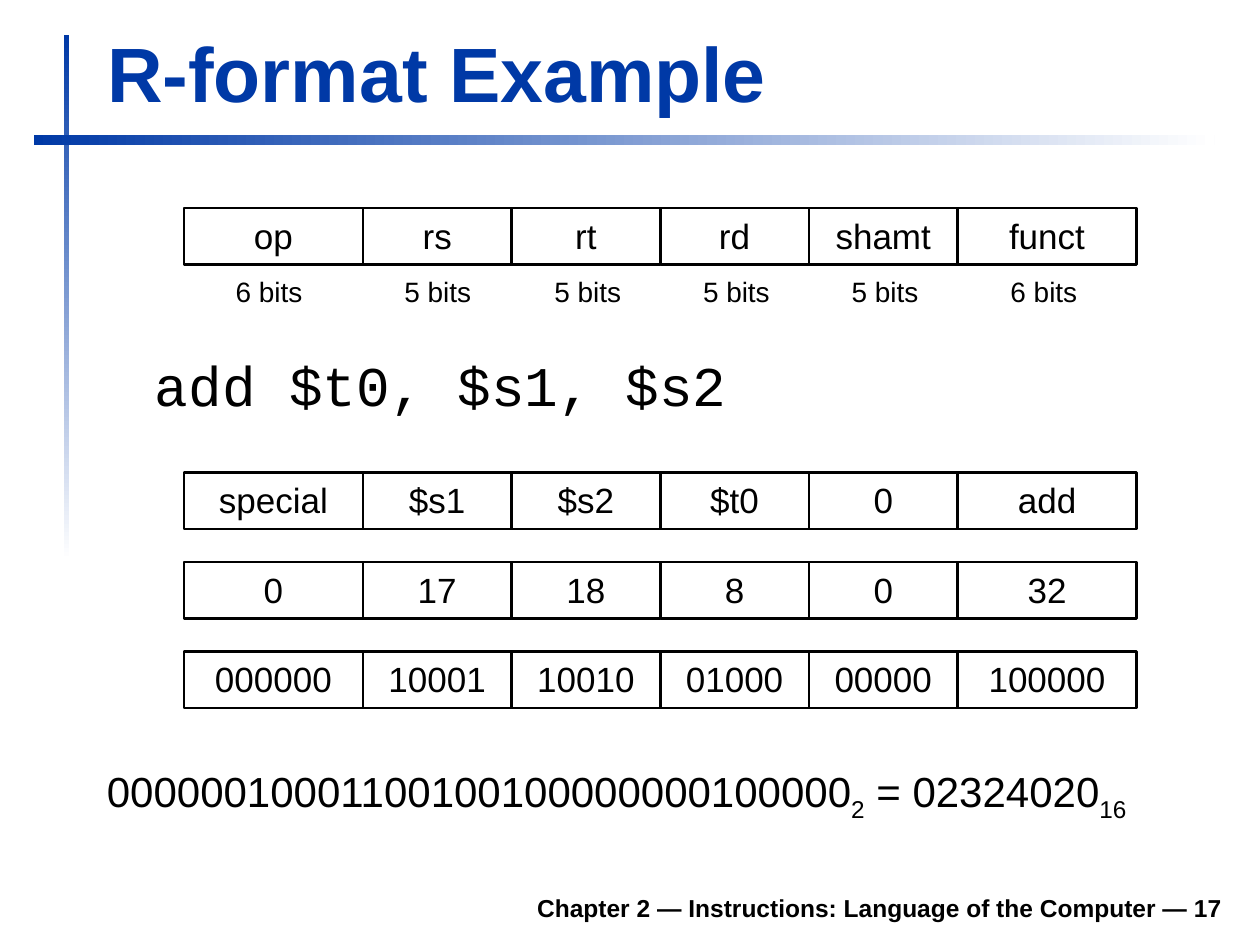
from pptx import Presentation
from pptx.dml.color import RGBColor
from pptx.enum.shapes import MSO_SHAPE
from pptx.enum.text import MSO_ANCHOR, MSO_AUTO_SIZE, PP_ALIGN
from pptx.util import Pt

PX = 9144
BLUE = "0039A6"
BLACK = "000000"


def color(text):
    return RGBColor.from_string(text)


def style(shape, size, align=PP_ALIGN.LEFT, face="Arial", tint=BLACK, bold=False):
    para = shape.text_frame.paragraphs[0]
    para.alignment = align
    para.font.size = Pt(size)
    para.font.name = face
    para.font.bold = bold
    para.font.color.rgb = color(tint)
    return para


deck = Presentation()
deck.slide_width, deck.slide_height = 1000 * PX, 750 * PX
slide = deck.slides.add_slide(deck.slide_layouts[5])
shapes = slide.shapes

for left, top, width, height, angle in [(51, 28, 4, 417, 270), (27, 107, 937, 8, 0)]:
    bar = shapes.add_shape(MSO_SHAPE.RECTANGLE, left * PX, top * PX, width * PX, height * PX)
    bar.shadow.inherit = False
    bar.line.fill.background()
    bar.fill.gradient()
    bar.fill.gradient_angle = angle
    for stop, place, tint in zip(bar.fill.gradient_stops, (0, 1), (BLUE, "FFFFFF")):
        stop.position = place
        stop.color.rgb = color(tint)

title = shapes.title
title.left, title.top, title.width, title.height = 75 * PX, 16 * PX, 903 * PX, 83 * PX
title.text_frame.text = "R-format Example"
title.text_frame.vertical_anchor = MSO_ANCHOR.BOTTOM
title.text_frame.auto_size = MSO_AUTO_SIZE.SHAPE_TO_FIT_TEXT
style(title, 44, tint=BLUE, bold=True)

foot = shapes.add_textbox(185 * PX, 698 * PX, 795 * PX, 39 * PX)
foot.text_frame.word_wrap = True
foot.text_frame.vertical_anchor = MSO_ANCHOR.BOTTOM
foot.text_frame.text = "Chapter 2 — Instructions: Language of the Computer — 17"
style(foot, 14, PP_ALIGN.RIGHT, bold=True)

code = shapes.add_textbox(75 * PX, 273 * PX, 905 * PX, 71 * PX)
code.text_frame.word_wrap = True
code.text_frame.margin_left = 48 * PX
code.text_frame.text = "add $t0, $s1, $s2"
style(code, 32, face="Courier New").space_before = Pt(6.4)

head = shapes.add_group_shape().shapes
widths = [142, 118, 118, 118, 118, 142]
rows = [
    (head, 165, ["op", "rs", "rt", "rd", "shamt", "funct"]),
    (shapes, 375, ["special", "$s1", "$s2", "$t0", "0", "add"]),
    (shapes, 446, ["0", "17", "18", "8", "0", "32"]),
    (shapes, 517, ["000000", "10001", "10010", "01000", "00000", "100000"]),
]
for owner, top, words in rows:
    left = 146
    for width, word in zip(widths, words):
        cell = owner.add_shape(MSO_SHAPE.RECTANGLE, left * PX, top * PX, width * PX, 45 * PX)
        cell.shadow.inherit = False
        cell.fill.background()
        cell.line.color.rgb = color(BLACK)
        cell.line.width = Pt(1.5)
        cell.text_frame.vertical_anchor = MSO_ANCHOR.TOP
        cell.text_frame.text = word
        style(cell, 20, PP_ALIGN.CENTER)
        left += width

for left, count in zip([177, 311, 430, 548, 666, 792], [6, 5, 5, 5, 5, 6]):
    label = head.add_textbox(left * PX, 213 * PX, 73 * PX, 37 * PX)
    label.text_frame.word_wrap = False
    label.text_frame.text = f"{count} bits"
    style(label, 16, PP_ALIGN.CENTER)

total = shapes.add_textbox(75 * PX, 603 * PX, 890 * PX, 55 * PX)
total.text_frame.word_wrap = True
para = style(total, 24)
para.space_before = Pt(4.8)
for word, base in [("00000010001100100100000000100000", 0), ("2", -25000),
                   (" = 02324020", 0), ("16", -25000)]:
    run = para.add_run()
    run.text = word
    if base:
        run._r.get_or_add_rPr().set("baseline", str(base))

deck.save("out.pptx")
